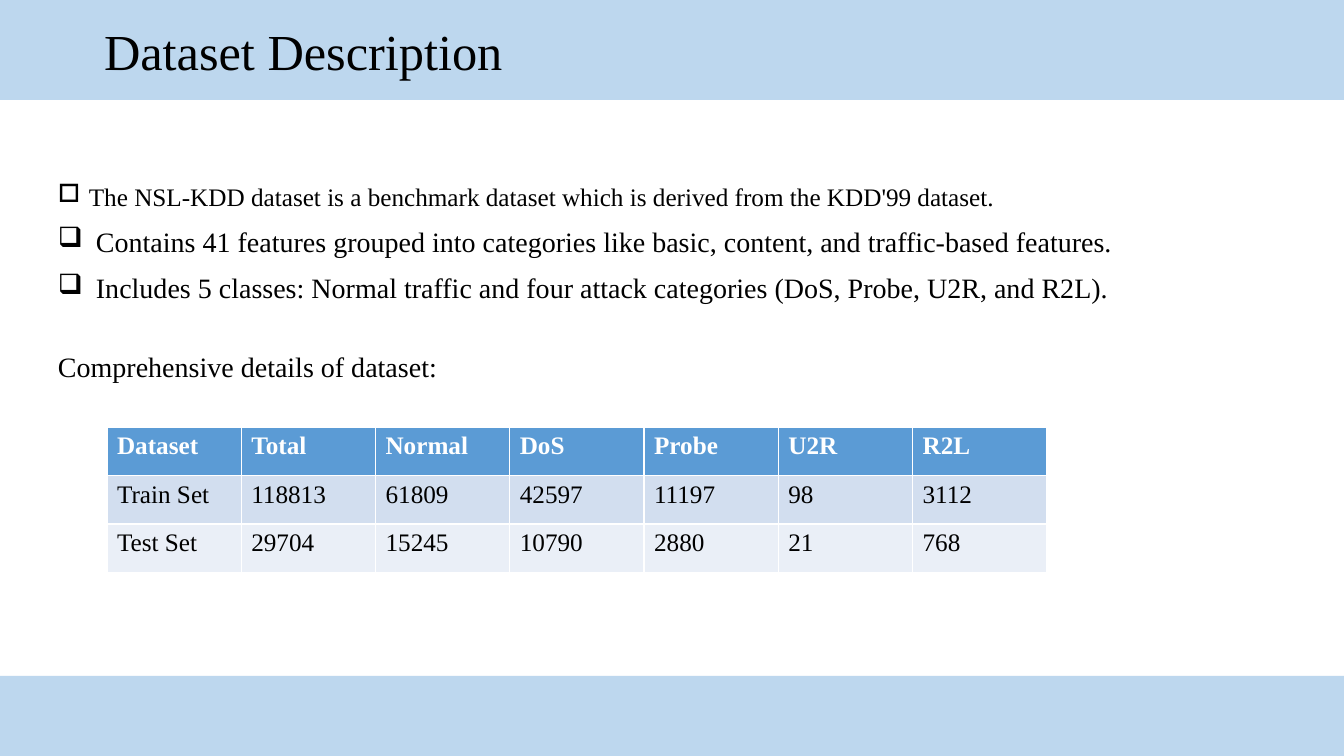
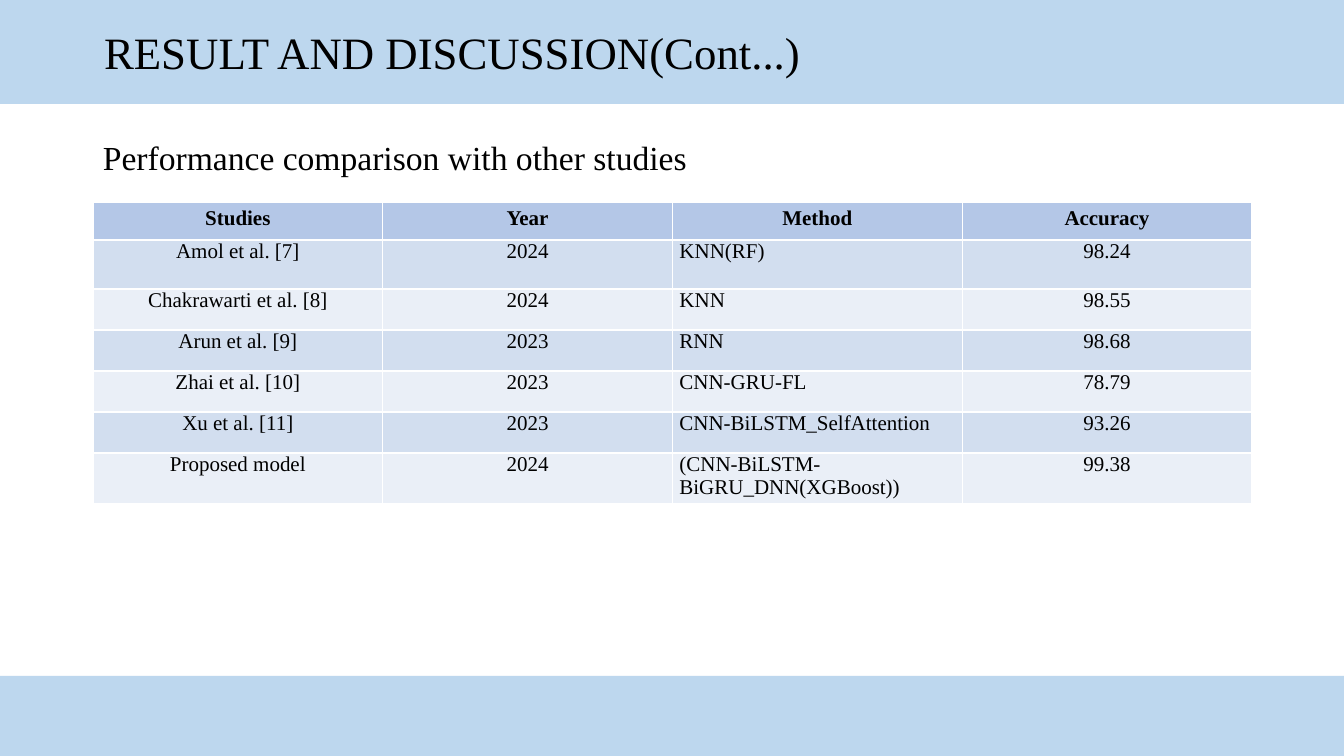
from lxml.etree import SubElement
from pptx import Presentation
from pptx.dml.color import RGBColor
from pptx.enum.shapes import MSO_SHAPE
from pptx.enum.text import MSO_ANCHOR, PP_ALIGN
from pptx.oxml.ns import qn
from pptx.util import Emu, Pt

WIDE, HIGH = 1344, 756
SCALE = 12192000 / WIDE
FONT = "Times New Roman"
HUES = {
    "band": "BDD7EE",
    "ink": "000000",
    "white": "FFFFFF",
    "blue": "5B9BD5",
    "pale": "B4C7E7",
    "odd": "D2DEEF",
    "even": "EAEFF7",
}


def px(size):
    return Emu(round(size * SCALE))


def hue(name):
    return RGBColor.from_string(HUES[name])


class Deck:
    def __init__(self):
        self.file = Presentation()
        self.file.slide_width, self.file.slide_height = px(WIDE), px(HIGH)
        self.slide = None

    def start(self, title, size, tall):
        self.slide = self.file.slides.add_slide(self.file.slide_layouts[5])
        head = self.slide.shapes.title
        head.left, head.top, head.width, head.height = map(px, (0, 0, WIDE, tall))
        self.paint(head, "band")
        frame = head.text_frame
        frame.text = title
        frame.vertical_anchor = MSO_ANCHOR.MIDDLE
        frame.margin_left = px(104)
        self.style(frame.paragraphs[0], size)
        self.band(676, HIGH - 676)

    def paint(self, item, name):
        item.fill.solid()
        item.fill.fore_color.rgb = hue(name)

    def style(self, para, size, color="ink", bold=False, align=PP_ALIGN.LEFT):
        para.alignment = align
        font = para.font
        font.name, font.size, font.bold = FONT, Pt(size), bold
        font.color.rgb = hue(color)

    def band(self, top, tall):
        bar = self.slide.shapes.add_shape(
            MSO_SHAPE.RECTANGLE, 0, px(top), px(WIDE), px(tall))
        bar.shadow.inherit = False
        bar.line.fill.background()
        self.paint(bar, "band")

    def text(self, box, lines):
        frame = self.slide.shapes.add_textbox(*map(px, box)).text_frame
        frame.word_wrap = True
        for spot, (words, size, mark, dent, gap) in enumerate(lines):
            para = frame.add_paragraph() if spot else frame.paragraphs[0]
            para.text = words
            para.space_before = Pt(gap)
            self.style(para, size)
            if mark:
                self.bullet(para, mark, dent)

    def bullet(self, para, mark, dent):
        props = para._p.get_or_add_pPr()
        props.set("marL", str(px(dent)))
        props.set("indent", str(-px(dent)))
        SubElement(props, qn("a:buChar")).set("char", mark)
        props.append(props.find(qn("a:defRPr")))

    def table(self, spot, wide, highs, rows, size, head, dress):
        grid = self.slide.shapes.add_table(
            len(rows), len(rows[0]), *map(px, (*spot, wide, sum(highs)))).table
        for col in grid.columns:
            col.width = px(wide / len(rows[0]))
        for r, (high, row) in enumerate(zip(highs, rows)):
            grid.rows[r].height = px(high)
            for c, words in enumerate(row):
                cell = grid.cell(r, c)
                cell.text = words
                self.paint(cell, ("even", "odd")[r % 2] if r else head[0])
                para = cell.text_frame.paragraphs[0]
                self.style(para, size, "ink" if r else head[1], r == 0)
                dress(cell, para, r, c)


def plain(cell, para, r, c):
    para.alignment = PP_ALIGN.LEFT


def tight(cell, para, r, c):
    if r == 0 or c != 2:
        para.alignment = PP_ALIGN.CENTER
    if r:
        cell.margin_left = cell.margin_right = px(7)
        cell.margin_top = cell.margin_bottom = 0
        para.space_before = para.space_after = Pt(1.8)


def main():
    deck = Deck()

    deck.start("Dataset Description", 36, 100)
    deck.text((48, 176, 1247, 488), [
        ("The NSL-KDD dataset is a benchmark dataset which is derived from the "
         "KDD'99 dataset.", 18, "□", 31, 0),
        ("Contains 41 features grouped into categories like basic, content, and "
         "traffic-based features.", 20, "❑", 38, 9.2),
        ("Includes 5 classes: Normal traffic and four attack categories "
         "(DoS, Probe, U2R, and R2L).", 20, "❑", 38, 9.2),
        ("Comprehensive details of dataset:", 20, None, 0, 32.2),
    ])
    deck.table((107, 427), 940, [48.5] * 3, [
        ("Dataset", "Total", "Normal", "DoS", "Probe", "U2R", "R2L"),
        ("Train Set", "118813", "61809", "42597", "11197", "98", "3112"),
        ("Test Set", "29704", "15245", "10790", "2880", "21", "768"),
    ], 18, ("blue", "white"), plain)

    deck.start("RESULT AND DISCUSSION(Cont...)", 32, 104)
    deck.text((93, 132, 672, 50), [
        ("Performance comparison with other studies", 24, None, 0, 0),
    ])
    deck.table((93, 202), 1159, [38, 49, 41, 41, 41, 41, 46], [
        ("Studies", "Year", "Method", "Accuracy"),
        ("Amol et al. [7]", "2024", "KNN(RF)", "98.24"),
        ("Chakrawarti et al. [8]", "2024", "KNN", "98.55"),
        ("Arun et al. [9]", "2023", "RNN", "98.68"),
        ("Zhai et al. [10]", "2023", "CNN-GRU-FL", "78.79"),
        ("Xu et al. [11]", "2023", "CNN-BiLSTM_SelfAttention", "93.26"),
        ("Proposed model", "2024", "(CNN-BiLSTM-BiGRU_DNN(XGBoost))", "99.38"),
    ], 15, ("pale", "ink"), tight)

    deck.file.save("out.pptx")


if __name__ == "__main__":
    main()
